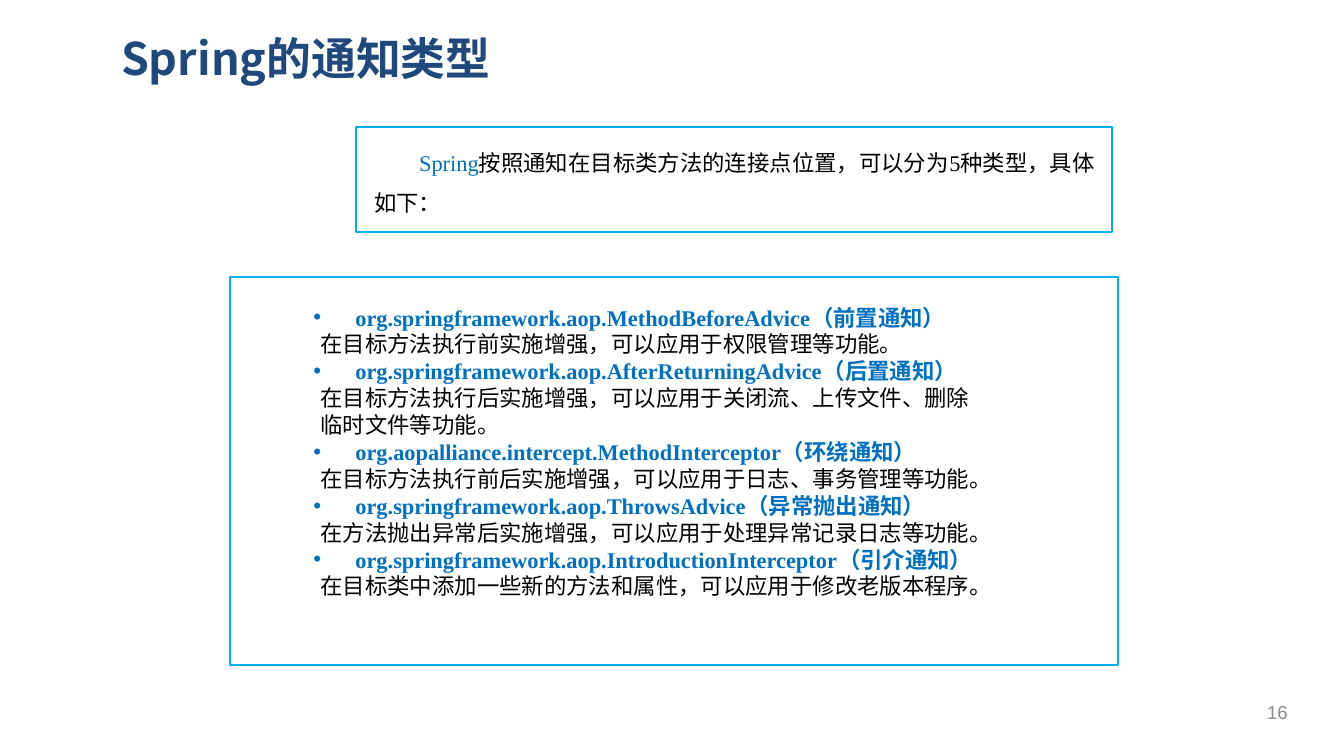
"""Build the slide on the advice types of Spring."""
from lxml.etree import SubElement
from pptx import Presentation
from pptx.dml.color import RGBColor
from pptx.enum.shapes import MSO_SHAPE
from pptx.enum.text import MSO_ANCHOR, MSO_AUTO_SIZE, PP_ALIGN
from pptx.oxml.ns import qn
from pptx.util import Pt

PX = 914400 / 134.4
NAVY = RGBColor(0x1F, 0x49, 0x7D)
BLUE = RGBColor(0x00, 0x70, 0xC0)
CYAN = RGBColor(0x00, 0xB0, 0xF0)
GRAY = RGBColor(0x8C, 0x8C, 0x8C)
BLACK = RGBColor(0x00, 0x00, 0x00)
WHITE = RGBColor(0xFF, 0xFF, 0xFF)
SERIF = "Times New Roman"
SANS = "Arial"
CHINESE = "Noto Sans CJK SC"

ADVICE_TYPES = [
    ("org.springframework.aop.MethodBeforeAdvice（前置通知）",
     ["在目标方法执行前实施增强，可以应用于权限管理等功能。"]),
    ("org.springframework.aop.AfterReturningAdvice（后置通知）",
     ["在目标方法执行后实施增强，可以应用于关闭流、上传文件、删除", "临时文件等功能。"]),
    ("org.aopalliance.intercept.MethodInterceptor（环绕通知）",
     ["在目标方法执行前后实施增强，可以应用于日志、事务管理等功能。"]),
    ("org.springframework.aop.ThrowsAdvice（异常抛出通知）",
     ["在方法抛出异常后实施增强，可以应用于处理异常记录日志等功能。"]),
    ("org.springframework.aop.IntroductionInterceptor（引介通知）",
     ["在目标类中添加一些新的方法和属性，可以应用于修改老版本程序。"]),
]


def px(*lengths):
    """Turn pixel lengths into EMU."""
    return [round(length * PX) for length in lengths]


def place(shape, *box):
    """Move and size a shape."""
    shape.left, shape.top, shape.width, shape.height = px(*box)


def set_font(font, size, color, name=SERIF, bold=False):
    """Format a font for Latin and Chinese text."""
    font.size, font.name, font.bold = Pt(size), name, bold
    font.color.rgb = color
    SubElement(font._element, qn("a:ea"), typeface=CHINESE)


def set_indent(paragraph, margin, indent, bullet=None):
    """Set the left margin, first-line indent and bullet of a paragraph."""
    properties = paragraph._p.get_or_add_pPr()
    margin, indent = px(margin, indent)
    properties.set("marL", str(margin))
    properties.set("indent", str(indent))
    if bullet:
        SubElement(properties, qn("a:buFont"), typeface=SANS)
        SubElement(properties, qn("a:buChar"), char=bullet)
    else:
        SubElement(properties, qn("a:buNone"))


def add_panel(shapes, *box):
    """Add a slightly transparent white panel with a cyan outline."""
    panel = shapes.add_shape(MSO_SHAPE.RECTANGLE, *px(*box))
    panel.shadow.inherit = False
    panel.fill.solid()
    panel.fill.fore_color.rgb = WHITE
    color = panel.fill._xPr.find(qn("a:solidFill"))[0]
    SubElement(color, qn("a:alpha"), val="90000")
    panel.line.color.rgb = CYAN
    panel.line.width = Pt(0.75)
    return panel


def fill_title(title):
    """Write the slide title."""
    place(title, 112, 24, 1175, 67)
    frame = title.text_frame
    frame.auto_size = MSO_AUTO_SIZE.NONE
    frame.margin_left, frame.margin_right, frame.margin_top, frame.margin_bottom = px(9, 9, 5, 5)
    frame.text = "Spring的通知类型"
    paragraph = frame.paragraphs[0]
    paragraph.alignment = PP_ALIGN.LEFT
    set_font(paragraph.font, 24, NAVY, CHINESE, True)


def add_introduction(slide):
    """Add the framed introduction."""
    group = slide.shapes.add_group_shape()
    add_panel(group.shapes, 356, 127, 756, 105)
    frame = group.shapes.add_textbox(*px(361, 129, 748, 90)).text_frame
    frame.word_wrap = True
    paragraph = frame.paragraphs[0]
    set_indent(paragraph, 0, 45)
    paragraph.line_spacing = 1.5
    for text, color in (
        ("Spring", BLUE),
        ("按照通知在目标类方法的连接点位置，可以分为5种类型，具体如下：", BLACK),
    ):
        run = paragraph.add_run()
        run.text = text
        set_font(run.font, 12, color)


def fill_advice_list(body):
    """Write each advice type with its description lines."""
    place(body, 233, 297, 885, 310)
    frame = body.text_frame
    frame.auto_size = MSO_AUTO_SIZE.NONE
    lines = [
        (text, position == 0)
        for name, descriptions in ADVICE_TYPES
        for position, text in enumerate([name, *descriptions])
    ]
    for number, (text, is_name) in enumerate(lines):
        paragraph = frame.add_paragraph() if number else frame.paragraphs[0]
        paragraph.text = text
        if is_name:
            set_indent(paragraph, 109, -42, "•")
        else:
            set_indent(paragraph, 74, 0)
        paragraph.space_before = Pt(0)
        set_font(paragraph.font, 12, BLUE if is_name else BLACK, bold=is_name)


def add_slide_number(slide):
    """Add the slide number at the lower right."""
    frame = slide.shapes.add_textbox(*px(1245, 692, 65, 40)).text_frame
    frame.word_wrap = True
    frame.vertical_anchor = MSO_ANCHOR.MIDDLE
    frame.text = "16"
    paragraph = frame.paragraphs[0]
    paragraph.alignment = PP_ALIGN.CENTER
    set_font(paragraph.font, 10, GRAY, SANS)


def main():
    """Build and save the presentation."""
    presentation = Presentation()
    presentation.slide_width, presentation.slide_height = px(1344, 756)
    slide = presentation.slides.add_slide(presentation.slide_layouts[1])
    title, body = slide.placeholders
    fill_title(title)
    panel = add_panel(slide.shapes, 230, 277, 888, 388)
    body._element.addprevious(panel._element)
    fill_advice_list(body)
    add_introduction(slide)
    add_slide_number(slide)
    presentation.save("out.pptx")


if __name__ == "__main__":
    main()
